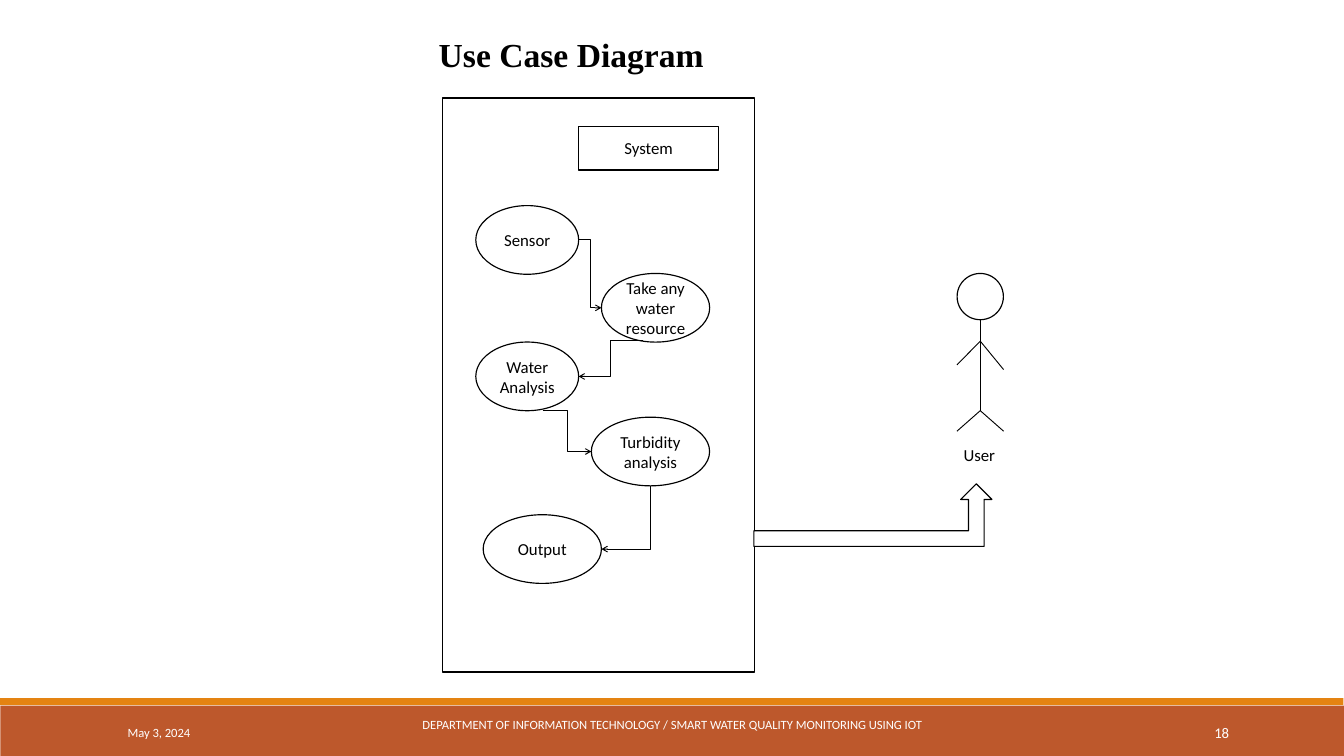
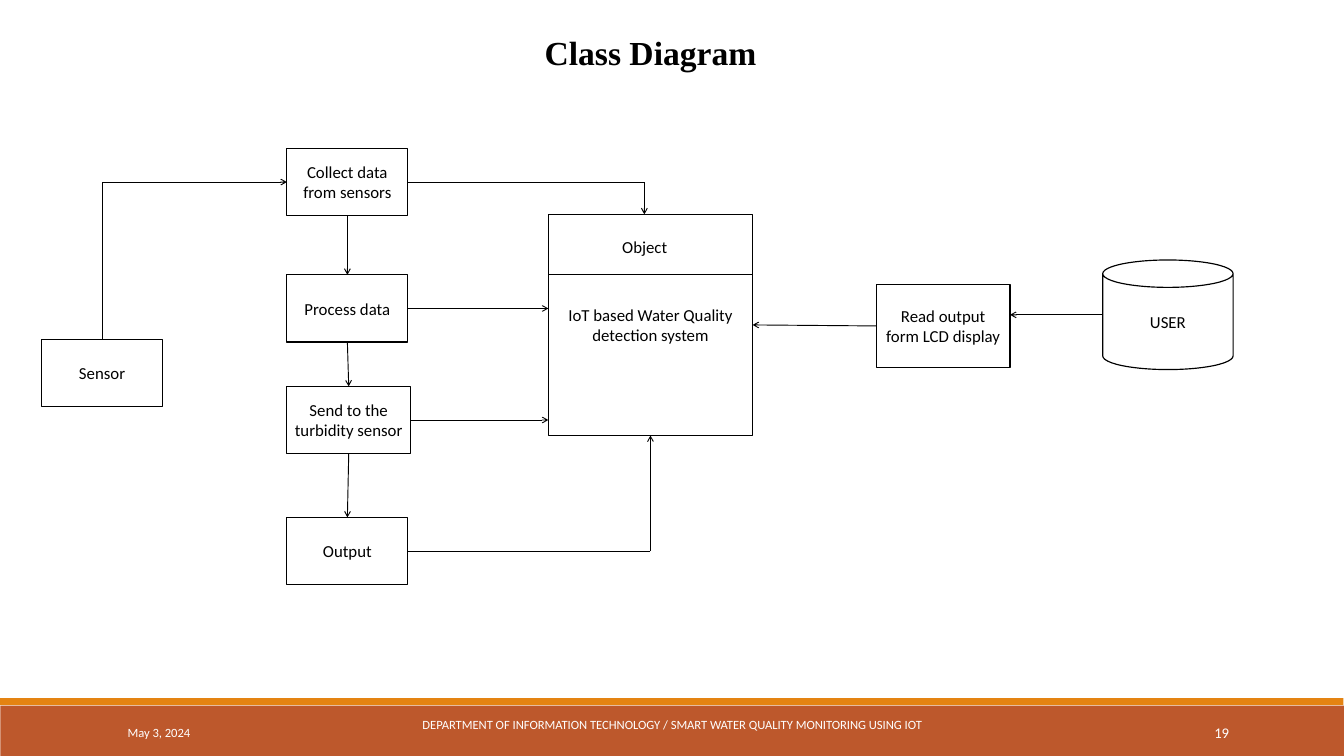
from lxml.etree import SubElement
from pptx import Presentation
from pptx.dml.color import RGBColor
from pptx.enum.shapes import MSO_CONNECTOR, MSO_SHAPE
from pptx.enum.text import MSO_ANCHOR, PP_ALIGN
from pptx.oxml.ns import qn
from pptx.util import Pt

COLORS = {"ink": "000000", "paper": "FFFFFF", "band": "BD582C", "accent": "E48312"}
FONTS = {
    "title": {"name": "Times New Roman", "size": Pt(36), "bold": True},
    "label": {"name": "Calibri", "size": Pt(18)},
    "footer": {"name": "Calibri", "size": Pt(13.5)},
    "number": {"name": "Calibri", "size": Pt(15.8)},
}
FOOTER = "DEPARTMENT OF INFORMATION TECHNOLOGY / SMART WATER QUALITY MONITORING USING IOT"


def color(name):
    """Return the named colour."""
    return RGBColor.from_string(COLORS[name])


def set_attributes(target, values):
    """Set every attribute in values on the target."""
    for name, value in values.items():
        setattr(target, name, value)


def write(shape, text, style, ink="ink", align=PP_ALIGN.CENTER, **frame_format):
    """Write text into a shape in one of the shared styles."""
    frame = shape.text_frame
    frame.text = text
    set_attributes(frame, {"word_wrap": True, "vertical_anchor": MSO_ANCHOR.MIDDLE, **frame_format})
    for paragraph in frame.paragraphs:
        paragraph.alignment = align
        for run in paragraph.runs:
            set_attributes(run.font, FONTS[style])
            run.font.color.rgb = color(ink)


def add_text(slide, box, text, style, **text_format):
    """Add a text box."""
    write(slide.shapes.add_textbox(*map(Pt, box)), text, style, **text_format)


def add_shape(slide, kind, box, fill="paper"):
    """Add a plain filled shape without an outline."""
    shape = slide.shapes.add_shape(kind, *map(Pt, box))
    shape.shadow.inherit = False
    shape.fill.solid()
    shape.fill.fore_color.rgb = color(fill)
    shape.line.fill.background()
    return shape


def add_node(slide, kind, box, text=""):
    """Add an outlined diagram shape with an optional label."""
    shape = add_shape(slide, kind, box)
    shape.line.color.rgb = color("ink")
    shape.line.width = Pt(1.25)
    if text:
        write(shape, text, "label")
    return shape


def point(shape, across, down):
    """Return the position at given fractions of a shape's width and height."""
    return (shape.left + across * shape.width) / Pt(1), (shape.top + down * shape.height) / Pt(1)


def add_line(slide, start, end, arrow=False, kind=MSO_CONNECTOR.STRAIGHT):
    """Add a thin connector, with an open arrowhead if wanted."""
    connector = slide.shapes.add_connector(kind, *map(Pt, (*start, *end)))
    connector.line.color.rgb = color("ink")
    connector.line.width = Pt(1)
    if arrow:
        SubElement(connector.line._get_or_add_ln(), qn("a:tailEnd"), type="arrow")
    SubElement(connector._element.spPr, qn("a:effectLst"))
    return connector


def add_corner(slide, start, end):
    """Add an arrow that runs vertically first and then turns once."""
    (left, top), (right, bottom) = start, end
    middle_x, middle_y = (left + right) / 2, (top + bottom) / 2
    half_x, half_y = (right - left) / 2, (bottom - top) / 2
    connector = add_line(
        slide,
        (middle_x - half_y, middle_y + half_x),
        (middle_x + half_y, middle_y - half_x),
        True,
        MSO_CONNECTOR.ELBOW,
    )
    properties = connector._element.spPr
    properties.find(qn("a:xfrm")).set("rot", "5400000")
    properties.find(qn("a:prstGeom")).set("prst", "bentConnector2")


def add_base_slide(presentation, number):
    """Add a slide with the shared bands and footer."""
    slide = presentation.slides.add_slide(presentation.slide_layouts[6])
    add_shape(slide, MSO_SHAPE.RECTANGLE, (0.5, 756, 1439.5, 54), "band")
    add_shape(slide, MSO_SHAPE.RECTANGLE, (0, 748, 1439.5, 7.5), "accent")
    add_text(slide, (129.6, 763.2, 292, 43.2), "May 3, 2024", "footer", ink="paper", align=PP_ALIGN.LEFT)
    add_text(slide, (1169.3, 763.2, 154.8, 43.2), str(number), "number", ink="paper", align=PP_ALIGN.RIGHT)
    add_text(slide, (435.6, 763.2, 569.5, 43.2), FOOTER, "footer", ink="paper", margin_bottom=Pt(20))
    return slide


def add_actor(slide):
    """Add the stick figure of the user with its label."""
    head = add_node(slide, MSO_SHAPE.OVAL, (1025.5, 293, 49.6, 49.6))
    neck = point(head, 0.5, 1)
    center = neck[0]
    shoulder, hip = (center, 365.5), (center, 440)
    add_line(slide, neck, hip)
    for joint, reach, limb_end in (
        (shoulder, 25, 396), (shoulder, -25, 391), (hip, 25, 462), (hip, -25, 462),
    ):
        add_line(slide, joint, (center + reach, limb_end))
    add_text(slide, (1025.3, 473, 49, 28.8), "User", "label", align=PP_ALIGN.LEFT,
             word_wrap=False, vertical_anchor=MSO_ANCHOR.TOP)


def build_use_case(presentation):
    """Build the use case diagram."""
    slide = add_base_slide(presentation, 18)
    add_text(slide, (463, 32.4, 720, 51), "Use Case Diagram", "title",
             align=PP_ALIGN.LEFT, vertical_anchor=MSO_ANCHOR.TOP)
    add_node(slide, MSO_SHAPE.RECTANGLE, (474.5, 105, 333.5, 615))
    add_node(slide, MSO_SHAPE.RECTANGLE, (620, 135.4, 150, 46.8), "System")
    sensor, resource, turbidity, analysis, output = [
        add_node(slide, MSO_SHAPE.OVAL, (left, top, width, 73.6), text)
        for left, top, width, text in (
            (509.8, 220.3, 110.2, "Sensor"),
            (644.4, 293, 116, "Take any water resource"),
            (633.6, 447, 126.7, "Turbidity\nanalysis"),
            (509.8, 366.5, 110.2, "Water Analysis"),
            (517.7, 551.5, 126.7, "Output"),
        )
    ]
    for start, end in (
        (point(sensor, 1, 0.5), point(resource, 0, 0.5)),
        (point(resource, 0.38, 0.98), point(analysis, 1, 0.5)),
        (point(analysis, 0.65, 1), point(turbidity, 0, 0.5)),
    ):
        add_line(slide, start, end, True, MSO_CONNECTOR.ELBOW)
    add_corner(slide, point(turbidity, 0.5, 1), point(output, 1, 0.5))
    add_actor(slide)
    add_node(slide, MSO_SHAPE.BENT_UP_ARROW, (807.8, 518.4, 255, 67))


def build_class(presentation):
    """Build the class diagram."""
    slide = add_base_slide(presentation, 19)
    add_text(slide, (337, 30.2, 720, 51), "Class Diagram", "title", vertical_anchor=MSO_ANCHOR.TOP)
    user = add_node(slide, MSO_SHAPE.CAN, (1181.5, 278.6, 139.7, 117.4), "USER")
    display, system, collect, process, send, output, sensor = [
        add_node(slide, MSO_SHAPE.RECTANGLE, box, text)
        for box, text in (
            ((938.9, 304.6, 143.3, 89.3), "Read output form LCD display"),
            ((587.5, 229.7, 218.9, 236.9), "IoT based Water Quality detection system"),
            ((307.4, 159.1, 129.6, 72), "Collect data from sensors"),
            ((307.4, 294.5, 129.6, 72), "Process data"),
            ((307.4, 414, 132.5, 72), "Send to the turbidity sensor"),
            ((307.4, 554.4, 129.6, 72), "Output"),
            ((44.6, 363.6, 129.6, 72), "Sensor"),
        )
    ]
    add_line(slide, point(system, 0, 0.27), point(system, 1, 0.27))
    add_text(slide, (659.5, 249.8, 63.4, 28.8), "Object", "label", align=PP_ALIGN.LEFT,
             word_wrap=False, vertical_anchor=MSO_ANCHOR.TOP)
    steps = (collect, process, send, output)
    for upper, lower in zip(steps, steps[1:]):
        add_line(slide, point(upper, 0.5, 1), point(lower, 0.5, 0), True)
    for source, target, across in ((user, display, 0), (process, system, 1), (send, system, 1)):
        start = point(source, across, 0.5)
        add_line(slide, start, (point(target, 1 - across, 0)[0], start[1]), True)
    add_line(slide, point(display, 0, 0.5), point(system, 1, 0.5), True)
    add_corner(slide, point(sensor, 0.5, 0), point(collect, 0, 0.5))
    for source, target in ((collect, point(system, 0.47, 0)), (output, point(system, 0.5, 1))):
        start = point(source, 1, 0.5)
        turn = (target[0], start[1])
        add_line(slide, start, turn)
        add_line(slide, turn, target, True)


def main():
    """Build and save the presentation."""
    presentation = Presentation()
    set_attributes(presentation, {"slide_width": Pt(1440), "slide_height": Pt(810)})
    build_use_case(presentation)
    build_class(presentation)
    presentation.save("out.pptx")


if __name__ == "__main__":
    main()
